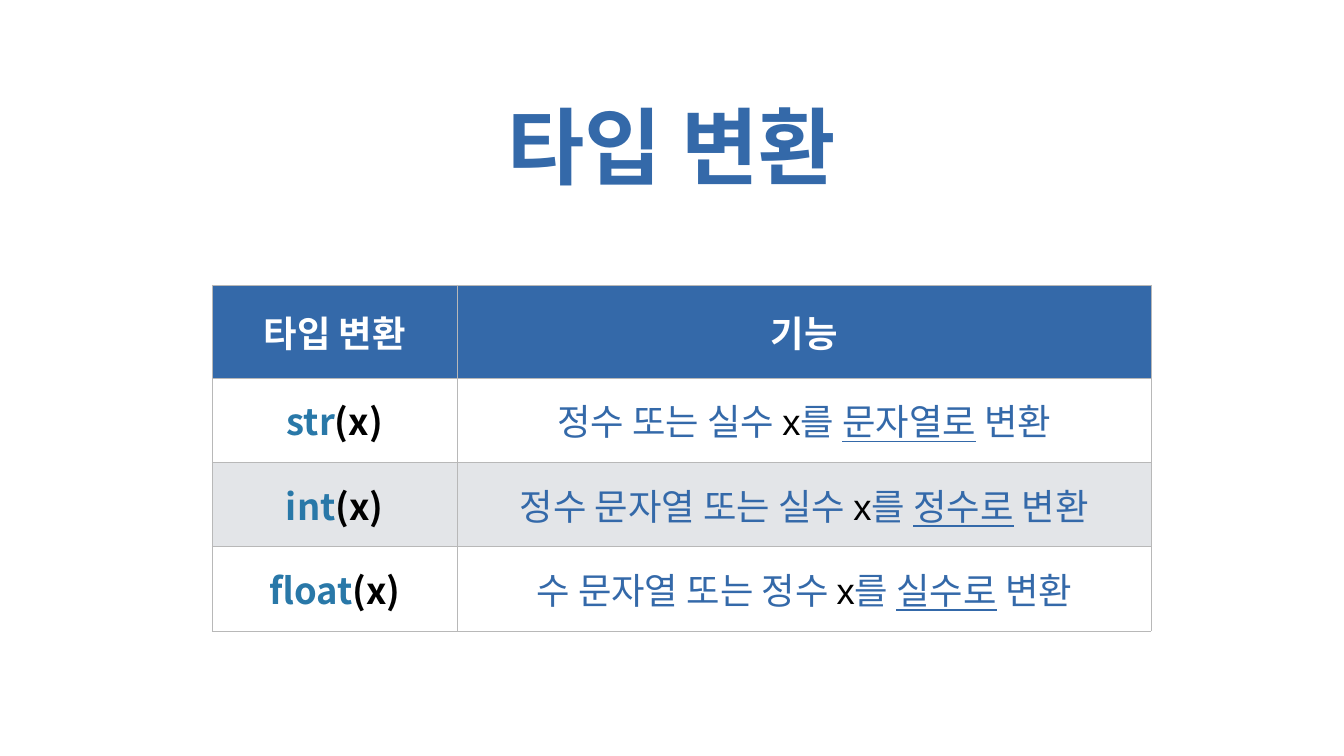
from dataclasses import dataclass

from lxml import etree
from pptx import Presentation
from pptx.dml.color import RGBColor
from pptx.enum.text import MSO_ANCHOR, MSO_AUTO_SIZE, PP_ALIGN
from pptx.oxml.ns import qn
from pptx.util import Inches, Pt

CENTER = PP_ALIGN.CENTER
MIDDLE, BOTTOM = MSO_ANCHOR.MIDDLE, MSO_ANCHOR.BOTTOM
FIXED = MSO_AUTO_SIZE.NONE

BLUE = RGBColor(0x34, 0x69, 0xA9)
TEAL = RGBColor(0x29, 0x78, 0xA8)
GRAY = RGBColor(0xE3, 0xE5, 0xE8)
RULE = RGBColor(0xB8, 0xB8, 0xB8)
BLACK = RGBColor(0, 0, 0)
WHITE = RGBColor(255, 255, 255)

SANS, CJK = "Arial", "Noto Sans CJK KR"
WIDE, HIGH = Inches(26.67), Inches(15)
PAD = Inches(0.06)
COLS = (0.1824, 0.5161)
HEAD, ROW = 0.1227, 0.1115


@dataclass
class Piece:
    text: str
    color: RGBColor
    bold: bool = False
    font: str = SANS
    under: bool = False


@dataclass
class Cast:
    name: str
    source: str
    target: str

    def cells(self) -> list[list[Piece]]:
        call = [Piece(self.name, TEAL, True, CJK),
                Piece("(x)", BLACK, True, CJK)]
        role = [Piece(self.source + " ", BLUE), Piece("x", BLACK),
                Piece("를 ", BLUE), Piece(self.target, BLUE, under=True),
                Piece(" 변환", BLUE)]
        return [call, role]


CASTS = (
    Cast("str", "정수 또는 실수", "문자열로"),
    Cast("int", "정수 문자열 또는 실수", "정수로"),
    Cast("float", "수 문자열 또는 정수", "실수로"),
)


def write(para, pieces: list[Piece], size: int) -> None:
    para.alignment = CENTER
    for piece in pieces:
        run = para.add_run()
        run.text = piece.text
        font = run.font
        font.size, font.name = Pt(size), piece.font
        font.bold, font.underline = piece.bold, piece.under
        font.color.rgb = piece.color
        latin = font._element.find(qn("a:latin"))
        asian = etree.Element(qn("a:ea"), typeface=CJK)
        latin.addnext(asian)


def pad(box) -> None:
    box.margin_left = box.margin_right = PAD
    box.margin_top = box.margin_bottom = PAD


def frame(cell) -> None:
    props = cell._tc.get_or_add_tcPr()
    for place, side in enumerate(("lnL", "lnR", "lnT", "lnB")):
        line = etree.Element(qn(f"a:{side}"), w=str(Pt(1)))
        fill = etree.SubElement(line, qn("a:solidFill"))
        etree.SubElement(fill, qn("a:srgbClr"), val=str(RULE))
        props.insert(place, line)


def paint(cell, pieces: list[Piece], fill: RGBColor) -> None:
    pad(cell)
    cell.vertical_anchor = MIDDLE
    cell.fill.solid()
    cell.fill.fore_color.rgb = fill
    write(cell.text_frame.paragraphs[0], pieces, 52)
    frame(cell)


def head(slide, text: str) -> None:
    title = slide.shapes.title
    title.left, title.top = int(WIDE * 0.2816), int(HIGH * 0.1)
    title.width, title.height = int(WIDE * 0.4364), int(HIGH * 0.1627)
    title.fill.solid()
    title.fill.fore_color.rgb = WHITE
    body = title.text_frame
    pad(body)
    body.word_wrap, body.auto_size = True, FIXED
    body.vertical_anchor = BOTTOM
    write(body.paragraphs[0], [Piece(text, BLUE, True)], 120)


def chart(slide, casts: tuple[Cast, ...]) -> None:
    rows = [HEAD] + [ROW] * len(casts)
    table = slide.shapes.add_table(
        len(rows), len(COLS), int(WIDE * 0.1579), int(HIGH * 0.3773),
        int(WIDE * sum(COLS)), int(HIGH * sum(rows))).table
    table.first_row = table.horz_banding = False
    for col, share in zip(table.columns, COLS):
        col.width = int(WIDE * share)
    for row, share in zip(table.rows, rows):
        row.height = int(HIGH * share)
    names = [[Piece(text, WHITE, True)] for text in ("타입 변환", "기능")]
    lines = [names] + [cast.cells() for cast in casts]
    fills = [BLUE] + [GRAY if i % 2 else WHITE for i in range(len(casts))]
    for row, line, fill in zip(table.rows, lines, fills):
        for cell, pieces in zip(row.cells, line):
            paint(cell, pieces, fill)


def main() -> None:
    deck = Presentation()
    deck.slide_width, deck.slide_height = WIDE, HIGH
    slide = deck.slides.add_slide(deck.slide_layouts[5])
    head(slide, "타입 변환")
    chart(slide, CASTS)
    deck.save("out.pptx")


if __name__ == "__main__":
    main()
